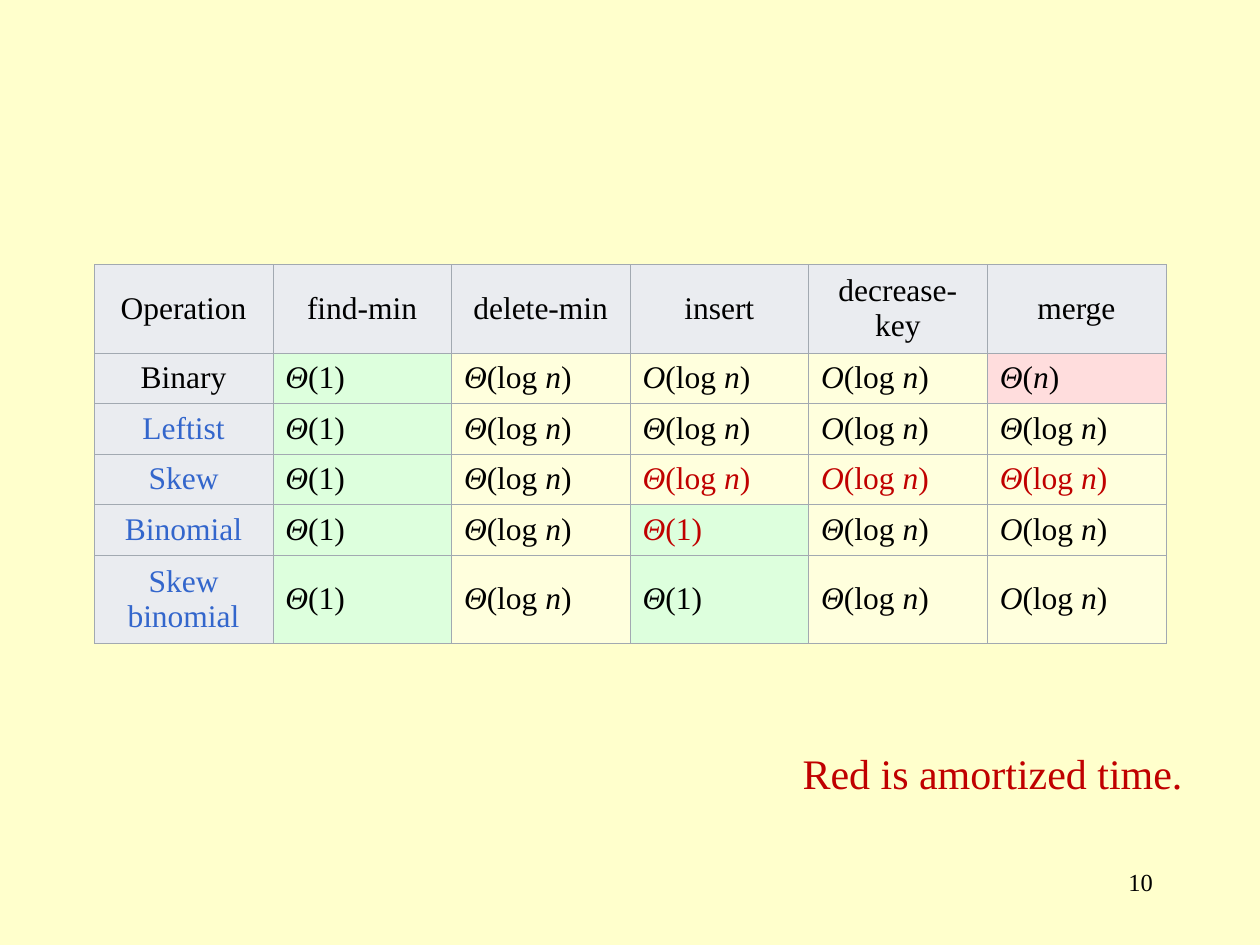
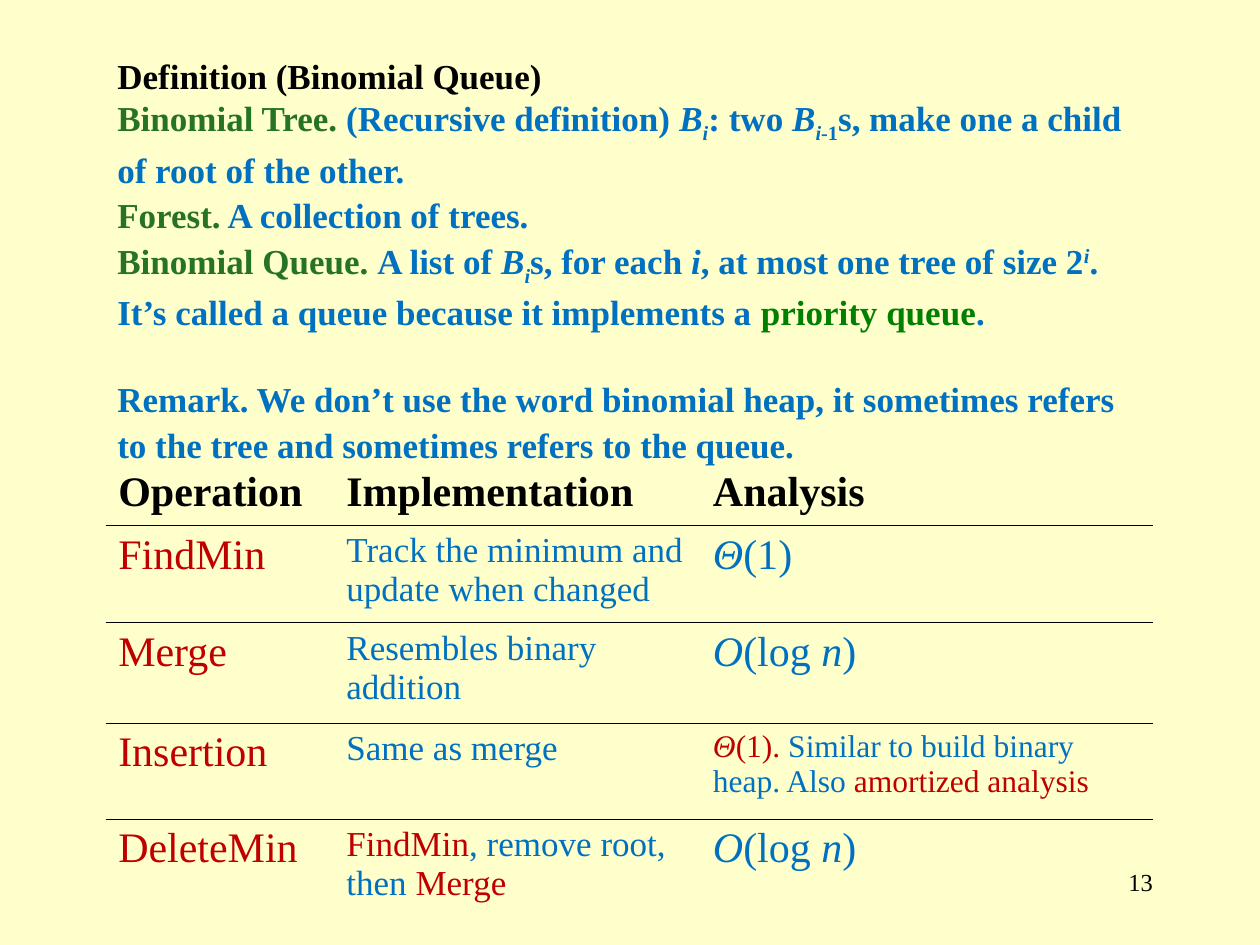
from dataclasses import dataclass

from lxml import etree
from pptx import Presentation
from pptx.dml.color import RGBColor
from pptx.enum.text import MSO_ANCHOR, MSO_AUTO_SIZE, PP_ALIGN
from pptx.oxml.ns import qn
from pptx.util import Cm, Pt


@dataclass(frozen=True)
class Theme:
    font: str = "Times New Roman"
    # Colours
    paper: str = "FFFFCC"
    black: str = "000000"
    red: str = "C00000"
    blue: str = "0070C0"
    link: str = "3366CC"
    term: str = "267326"
    green: str = "008000"
    header: str = "EAECF0"
    fast: str = "DDFFDD"
    medium: str = "FFFFDD"
    slow: str = "FFDDDD"
    grid: str = "A2A9B1"
    # Type sizes
    large: int = 24
    text: int = 20
    small: int = 18
    number: int = 14


@dataclass
class Run:
    text: str
    color: str = Theme.black
    italic: bool = False
    base: int = 0


T = Theme()
NO_STYLE = "{2D5ABB26-0587-4C30-8999-92F81FD0307C}"
EDGES = {"left": "a:lnL", "right": "a:lnR", "top": "a:lnT", "bottom": "a:lnB"}


# Text helpers
def bound(formula, color=T.black):
    """Runs of a growth bound, its symbol and variable in italics."""
    symbol, rest = formula[0], formula[1:]
    before, variable, after = rest.partition("n")
    runs = [Run(symbol, color, True), Run(before, color)]
    if variable:
        runs += [Run(variable, color, True), Run(after, color)]
    return runs


def indexed_tree(index="i", offset=""):
    """Runs of B with its subscript."""
    runs = [Run("B", T.blue, True), Run(index, T.blue, True, -25)]
    if offset:
        runs.append(Run(offset, T.blue, False, -25))
    return runs


def write(p, runs, size, bold=False, align=PP_ALIGN.LEFT):
    p.alignment = align
    for run in runs:
        r = p.add_run()
        r.text = run.text
        r.font.name = T.font
        r.font.size = Pt(size)
        r.font.bold = bold
        r.font.italic = run.italic
        r.font.color.rgb = RGBColor.from_string(run.color)
        if run.base:
            r.font._element.set("baseline", str(run.base * 1000))


def add_label(slide, box, run, size, align=PP_ALIGN.LEFT, wrap=True):
    tf = slide.shapes.add_textbox(*map(Cm, box)).text_frame
    tf.word_wrap = wrap
    write(tf.paragraphs[0], [run], size, align=align)


def add_page_number(slide, number):
    add_label(slide, (18.21, 17.35, 5.28, 1.27), Run(str(number)), T.number,
              PP_ALIGN.RIGHT)


def fill_placeholder(sp, box, paragraphs):
    """Place a placeholder and write bold, unbulleted paragraphs; return them."""
    sp.left, sp.top, sp.width, sp.height = map(Cm, box)
    tf = sp.text_frame
    tf.auto_size = MSO_AUTO_SIZE.NONE
    tf.vertical_anchor = MSO_ANCHOR.TOP
    for i, runs in enumerate(paragraphs):
        p = tf.add_paragraph() if i else tf.paragraphs[0]
        pPr = p._p.get_or_add_pPr()
        pPr.set("marL", "0")
        pPr.set("indent", "0")
        etree.SubElement(pPr, qn("a:buNone"))
        p.space_before = Pt(0)
        p.line_spacing = 1.08
        write(p, runs, T.text, bold=True)
    return tf.paragraphs


# Table helpers
def add_plain_table(slide, left, top, widths, heights):
    frame = slide.shapes.add_table(len(heights), len(widths), Cm(left), Cm(top),
                                   Cm(sum(widths)), Cm(sum(heights)))
    table = frame.table
    table.first_row = table.horz_banding = False
    table._tbl.tblPr.find(qn("a:tableStyleId")).text = NO_STYLE
    for column, width in zip(table.columns, widths):
        column.width = Cm(width)
    for row, height in zip(table.rows, heights):
        row.height = Cm(height)
    return table


def style_cell(cell, fill, edges, line_color, line_width):
    tcPr = cell._tc.get_or_add_tcPr()
    for edge, tag in EDGES.items():
        if edge in edges:
            ln = etree.SubElement(tcPr, qn(tag), w=str(Pt(line_width)))
            solid = etree.SubElement(ln, qn("a:solidFill"))
            etree.SubElement(solid, qn("a:srgbClr"), val=line_color)
    if fill:
        cell.fill.solid()
        cell.fill.fore_color.rgb = RGBColor.from_string(fill)
    else:
        cell.fill.background()


# Slide: running times of the heaps
def build_heap_comparison(prs):
    slide = prs.slides.add_slide(prs.slide_layouts[6])
    add_page_number(slide, 10)

    operations = ["Operation", "find-min", "delete-min", "insert",
                  "decrease-key", "merge"]
    one, log_theta, log_o = "Θ(1)", "Θ(log n)", "O(log n)"
    heaps = {
        "Binary": [one, log_theta, log_o, log_o, "Θ(n)"],
        "Leftist": [one, log_theta, log_theta, log_o, log_theta],
        "Skew": [one, log_theta, log_theta, log_o, log_theta],
        "Binomial": [one, log_theta, one, log_theta, log_o],
        "Skew binomial": [one, log_theta, one, log_theta, log_o],
    }
    amortized = {("Skew", "insert"), ("Skew", "decrease-key"),
                 ("Skew", "merge"), ("Binomial", "insert")}
    speed = {one: T.fast, log_theta: T.medium, log_o: T.medium, "Θ(n)": T.slow}

    table = add_plain_table(slide, 1.9, 5.33, [3.6] * 6,
                            [1.78] + [1.02] * 4 + [1.78])

    def put(row, col, runs, fill, align):
        cell = table.cell(row, col)
        cell.vertical_anchor = MSO_ANCHOR.MIDDLE
        style_cell(cell, fill, EDGES, T.grid, 0.17)
        write(cell.text_frame.paragraphs[0], runs, T.small, align=align)

    for col, operation in enumerate(operations):
        put(0, col, [Run(operation)], T.header, PP_ALIGN.CENTER)
    for row, (heap, times) in enumerate(heaps.items(), 1):
        color = T.black if heap == "Binary" else T.link
        put(row, 0, [Run(heap, color)], T.header, PP_ALIGN.CENTER)
        for col, time in enumerate(times, 1):
            color = T.red if (heap, operations[col]) in amortized else T.black
            put(row, col, bound(time, color), speed[time], PP_ALIGN.LEFT)

    add_label(slide, (15.93, 14.94, 8.18, 1.27),
              Run("Red is amortized time.", T.red), T.large, wrap=False)


# Slide: definition and operations of the binomial queue
def build_binomial_queue(prs):
    slide = prs.slides.add_slide(prs.slide_layouts[1])
    add_page_number(slide, 13)
    title, body = slide.placeholders
    fill_placeholder(title, (2.11, 0.91, 21.18, 0.95),
                     [[Run("Definition (Binomial Queue)")]])

    definitions = [
        [Run("Binomial Tree.", T.term),
         Run(" (Recursive definition) ", T.blue), *indexed_tree(),
         Run(": two ", T.blue), *indexed_tree("i", "-1"),
         Run("s, make one a child of root of the other.", T.blue)],
        [Run("Forest.", T.term), Run(" A collection of trees.", T.blue)],
        [Run("Binomial Queue. ", T.term), Run("A list of ", T.blue),
         *indexed_tree(), Run("s, for each ", T.blue), Run("i", T.blue, True),
         Run(", at most one tree of size 2", T.blue),
         Run("i", T.blue, True, 30),
         Run(". It’s called a queue because it implements a ", T.blue),
         Run("priority queue", T.green), Run(".", T.blue)],
        [Run("Remark. We don’t use the word binomial heap, it sometimes refers "
             "to the tree and sometimes refers to the queue.", T.blue)],
    ]
    remark = fill_placeholder(body, (2.11, 1.75, 21.18, 7.29), definitions)[-1]
    remark.space_before = Pt(24)

    headings = ["Operation", "Implementation", "Analysis"]
    log_time = bound("O(log n)", T.blue)
    operations = [
        ("FindMin", [Run("Track the minimum and update when changed", T.blue)],
         bound("Θ(1)", T.blue)),
        ("Merge", [Run("Resembles binary addition", T.blue)], log_time),
        ("Insertion", [Run("Same as merge", T.blue)],
         bound("Θ(1). ", T.red)
         + [Run("Similar to build binary heap. Also ", T.blue),
            Run("amortized analysis", T.red)]),
        ("DeleteMin",
         [Run("FindMin", T.red), Run(", remove root, then ", T.blue),
          Run("Merge", T.red)], log_time),
    ]
    rows = [[[Run(heading)] for heading in headings]]
    rows += [[[Run(name, T.red)], how, cost] for name, how, cost in operations]

    table = add_plain_table(slide, 2.13, 9.32, [4.6, 7.39, 9.12],
                            [1.27, 1.96, 2.03, 1.93, 2.72])
    last = len(rows) - 1
    for i, row in enumerate(rows):
        edges = [edge for edge, end in (("top", 0), ("bottom", last)) if i != end]
        for j, runs in enumerate(row):
            cell = table.cell(i, j)
            style_cell(cell, None, edges, T.black, 0.45)
            size = T.text if i and j == 1 else T.large
            if len(runs) > 2 and runs[-1].text == "amortized analysis":
                size = T.small
            write(cell.text_frame.paragraphs[0], runs, size, bold=i == 0)


def main():
    prs = Presentation()
    prs.slide_width, prs.slide_height = Cm(25.4), Cm(19.05)
    background = prs.slide_master.background.fill
    background.solid()
    background.fore_color.rgb = RGBColor.from_string(T.paper)
    build_heap_comparison(prs)
    build_binomial_queue(prs)
    prs.save("out.pptx")


if __name__ == "__main__":
    main()
